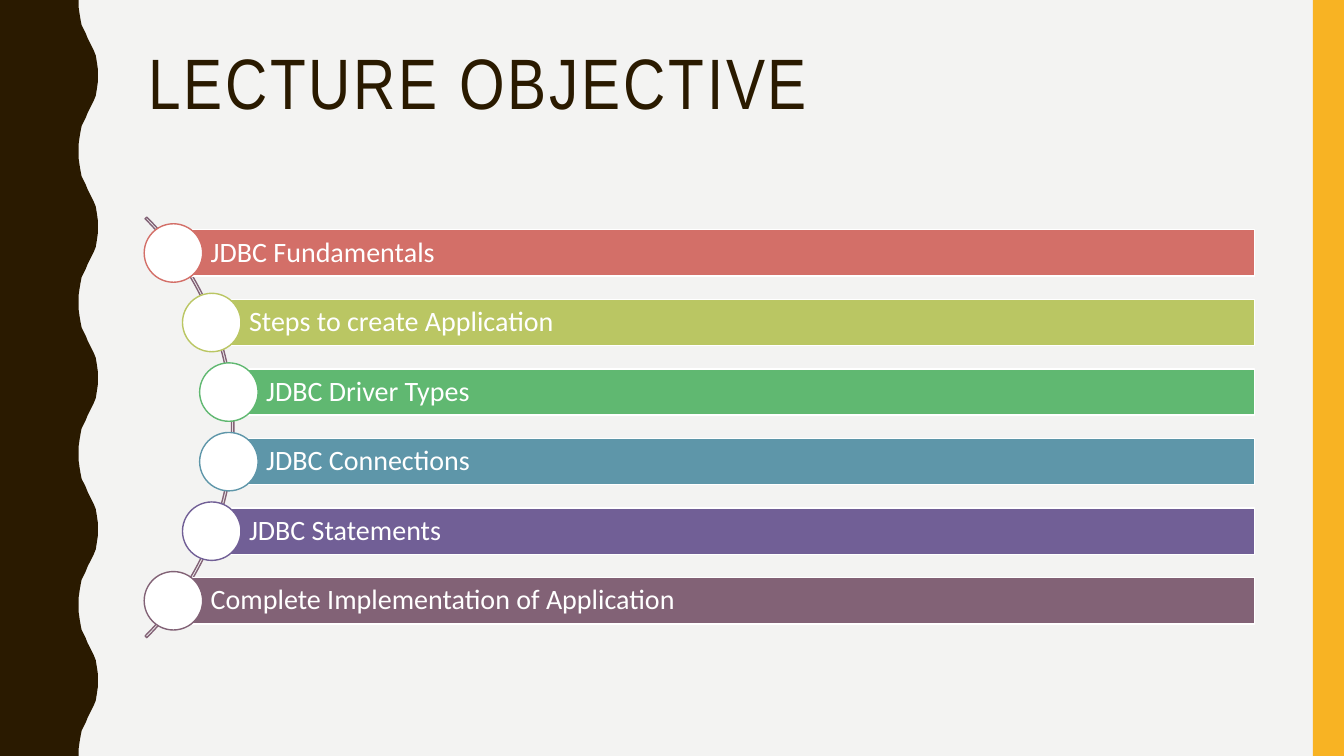
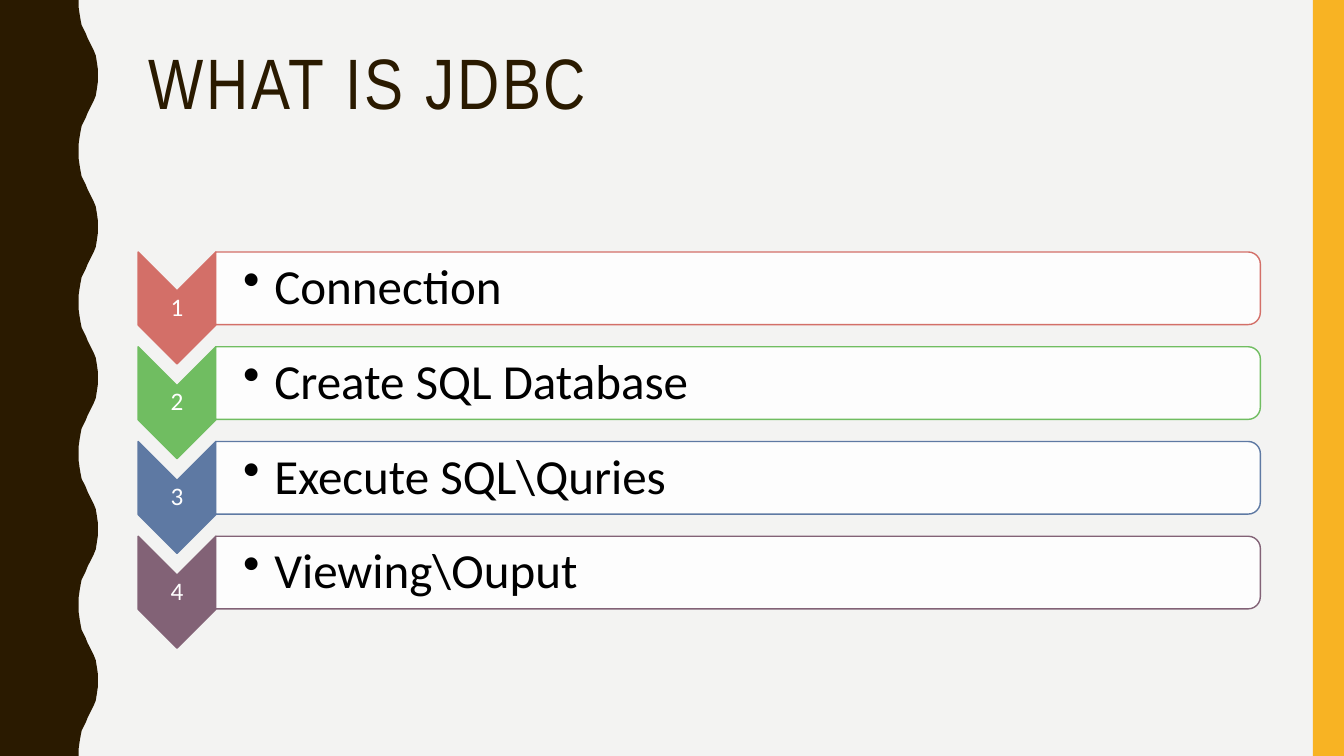
from lxml import etree
from pptx import Presentation
from pptx.dml.color import RGBColor
from pptx.enum.shapes import MSO_SHAPE
from pptx.enum.text import MSO_ANCHOR, MSO_AUTO_SIZE, PP_ALIGN
from pptx.oxml.ns import qn
from pptx.util import Inches, Pt

RECT, OVAL = MSO_SHAPE.RECTANGLE, MSO_SHAPE.OVAL
ARC, CHEVRON = MSO_SHAPE.BLOCK_ARC, MSO_SHAPE.CHEVRON
CARD = MSO_SHAPE.ROUND_2_SAME_RECTANGLE
TOP, MIDDLE = MSO_ANCHOR.TOP, MSO_ANCHOR.MIDDLE
LEFT, CENTER = PP_ALIGN.LEFT, PP_ALIGN.CENTER
NO_FIT = MSO_AUTO_SIZE.NONE

PAPER = RGBColor(0xF3, 0xF3, 0xF2)
BROWN = RGBColor(0x2A, 0x1A, 0x00)
AMBER = RGBColor(0xF8, 0xB3, 0x23)
WHITE = RGBColor(0xFF, 0xFF, 0xFF)
BLACK = RGBColor(0x00, 0x00, 0x00)
RED = RGBColor(0xD3, 0x6F, 0x68)
LIME = RGBColor(0xBA, 0xC6, 0x63)
GREEN = RGBColor(0x60, 0xB8, 0x71)
LEAF = RGBColor(0x70, 0xBD, 0x61)
TEAL = RGBColor(0x5E, 0x96, 0xA9)
BLUE = RGBColor(0x5E, 0x79, 0xA3)
VIOLET = RGBColor(0x71, 0x5F, 0x96)
PLUM = RGBColor(0x82, 0x62, 0x76)

WIDTH, HEIGHT = 13.33, 7.5
HEAD, BODY = "Arial Narrow", "Calibri"

# One swell of the wavy edge, from trough to crest
SWELL = [(0.78, 0), (0.78, 0.07), (0.79, 0.14), (0.8, 0.2), (0.81, 0.25),
         (0.83, 0.29), (0.85, 0.33), (0.87, 0.38), (0.89, 0.42), (0.91, 0.46),
         (0.93, 0.5), (0.95, 0.55), (0.96, 0.61), (0.97, 0.68), (0.97, 0.75)]
PERIOD, WAVES = 1.5, 5

TOPICS = [("JDBC Fundamentals", RED, 1.72),
          ("Steps to create Application", LIME, 2.1),
          ("JDBC Driver Types", GREEN, 2.27),
          ("JDBC Connections", TEAL, 2.27),
          ("JDBC Statements", VIOLET, 2.1),
          ("Complete Implementation of Application", PLUM, 1.72)]
STEPS = [("Connection", RED), ("Create SQL Database", LEAF),
         ("Execute SQL\\Quries", BLUE), ("Viewing\\Ouput", PLUM)]


class Deck:
    def __init__(self):
        self.prs = Presentation()
        self.prs.slide_width = Inches(WIDTH)
        self.prs.slide_height = Inches(HEIGHT)
        fill = self.prs.slide_master.background.fill
        fill.solid()
        fill.fore_color.rgb = PAPER
        self.layout = self.prs.slide_layouts.get_by_name("Title Only")
        for holder in list(self.layout.placeholders)[1:]:
            holder.element.getparent().remove(holder.element)
        self.page = None

    def slide(self, title):
        self.page = self.prs.slides.add_slide(self.layout)
        if len(self.prs.slides) == 1:
            self.bands()
        head = self.page.shapes.title
        head.left, head.top = Inches(1.37), Inches(0.42)
        head.width, head.height = Inches(11.13), Inches(1.63)
        run = self.fill_text(head, title, 51, BROWN, HEAD, anchor=TOP,
                             inset=(0.1, 0.05, 0.1, 0.05))
        run.font._element.set("spc", "200")

    def bands(self):
        """Draw the side bands once and move them to the shared layout."""
        wave = []
        for n in range(WAVES):
            wave += [(x, n * PERIOD + y) for x, y in SWELL]
            wave += [(x, (n + 1) * PERIOD - y) for x, y in SWELL[-2::-1]]
        pen = self.page.shapes.build_freeform(0, 0)
        pen.add_line_segments([(Inches(x), Inches(y))
                               for x, y in wave + [(0, HEIGHT)]])
        edge = self.paint(pen.convert_to_shape(), BROWN)
        stripe = self.shape(RECT, 13.02, 0, 0.31, HEIGHT, AMBER)
        for band in (stripe, edge):
            self.layout.shapes.element.insert(2, band.element)

    def paint(self, shape, fill=None, line=None):
        shape.shadow.inherit = False
        if fill is None:
            shape.fill.background()
        else:
            shape.fill.solid()
            shape.fill.fore_color.rgb = fill
        if line is None:
            shape.line.fill.background()
        else:
            shape.line.color.rgb = line
            shape.line.width = Pt(1)
        return shape

    def shape(self, kind, x, y, w, h, fill=None, line=None):
        item = self.page.shapes.add_shape(
            kind, Inches(x), Inches(y), Inches(w), Inches(h))
        return self.paint(item, fill, line)

    def turned(self, kind, x, y, w, h, fill, line):
        """Add a shape turned by 90 degrees that covers the given box."""
        shift = (w - h) / 2
        item = self.shape(kind, x + shift, y - shift, h, w, fill, line)
        item.rotation = 90
        return item

    def label(self, x, y, w, h, *args, **style):
        box = self.page.shapes.add_textbox(
            Inches(x), Inches(y), Inches(w), Inches(h))
        self.fill_text(box, *args, **style)

    def fill_text(self, shape, text, size, color, font=BODY, align=LEFT,
                  anchor=MIDDLE, inset=(0.01,) * 4, hang=None):
        frame = shape.text_frame
        frame.word_wrap = True
        frame.auto_size = NO_FIT
        frame.vertical_anchor = anchor
        (frame.margin_left, frame.margin_top,
         frame.margin_right, frame.margin_bottom) = map(Inches, inset)
        para = frame.paragraphs[0]
        para.alignment = align
        para.line_spacing = 0.9
        if hang:
            props = para._p.get_or_add_pPr()
            props.set("marL", str(Inches(hang)))
            props.set("indent", str(-Inches(hang)))
            etree.SubElement(props, qn("a:buChar")).set("char", "•")
        run = para.add_run()
        run.text = text
        run.font.name = font
        run.font.size = Pt(size)
        run.font.color.rgb = color
        return run


def topics(deck):
    deck.slide("LECTURE OBJECTIVE")
    arc = deck.shape(ARC, -3.58, 1.29, 5.9, 5.9, line=PLUM)
    for n, value in enumerate((189, 27, 0.004)):
        arc.adjustments[n] = value
    right, dot = 12.44, 0.58
    for n, (text, color, x) in enumerate(TOPICS):
        y = 2.28 + n * 0.69
        bar = deck.shape(RECT, x, y, right - x, 0.46, color, WHITE)
        deck.fill_text(bar, text, 20, WHITE, inset=(0.37, 0.06, 0.06, 0.06))
        deck.shape(OVAL, x - dot / 2, y - 0.06, dot, dot, WHITE, color)


def steps(deck):
    deck.slide("WHAT IS JDBC")
    for n, (text, color) in enumerate(STEPS):
        y = 2.5 + n * 0.94
        deck.turned(CHEVRON, 1.37, y, 0.77, 1.11, color, color)
        deck.label(1.37, y + 0.39, 0.77, 0.33, str(n + 1), 18, WHITE,
                   align=CENTER)
        card = deck.turned(CARD, 2.14, y, 10.36, 0.72, WHITE, color)
        tint = card.element.spPr.find(qn("a:solidFill"))[0]
        etree.SubElement(tint, qn("a:alpha")).set("val", "90000")
        deck.label(2.14, y + 0.04, 10.32, 0.65, text, 35, BLACK,
                   inset=(0.27, 0.02, 0.02, 0.02), hang=0.31)


def main():
    deck = Deck()
    topics(deck)
    steps(deck)
    deck.prs.save("out.pptx")


if __name__ == "__main__":
    main()
